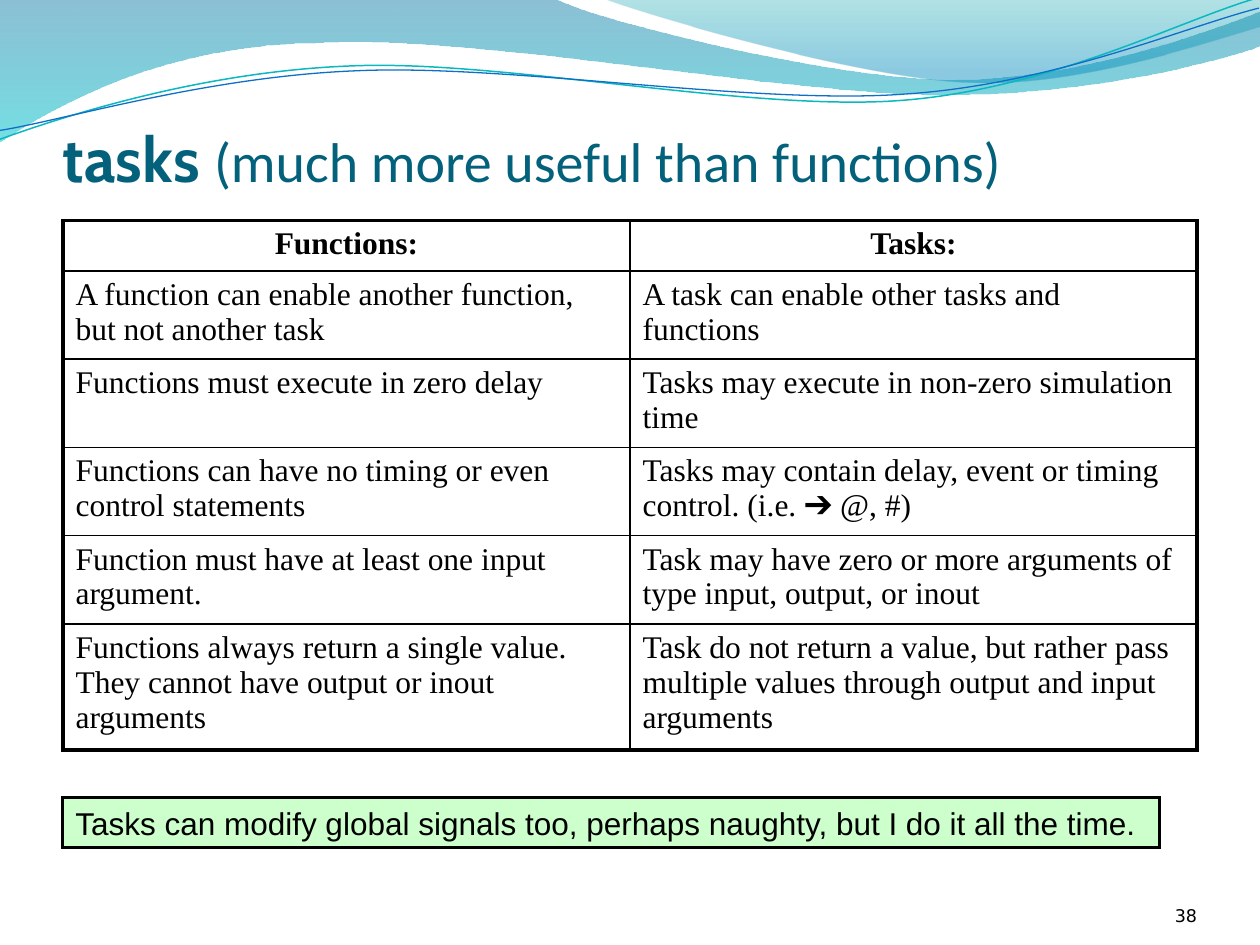
from lxml.etree import SubElement
from pptx import Presentation
from pptx.dml.color import RGBColor
from pptx.enum.shapes import MSO_SHAPE
from pptx.enum.text import MSO_ANCHOR, MSO_AUTO_SIZE, PP_ALIGN
from pptx.oxml.ns import qn
from pptx.util import Inches, Pt

COLORS = {
    "ink": "000000", "title": "04617B", "note": "CCFFCC",
    "deep_blue": "0074A1", "cyan": "00C6CF", "teal": "00A1A9",
    "sky": "008BBF", "teal_line": "0AB8BF", "blue_line": "0F6FC6",
}

BANDS = [
    ([(0, -0.01), (4.4, -0.01), (4.76, 0.17, 6.64, 0.63, 7.58, 0.63),
      (8.53, 0.63, 9.58, 0.26, 10, 0.09), (10.01, 0.36),
      (9.83, 0.44, 8.7, 0.76, 7.46, 0.75), (6.22, 0.75, 3.82, 0.28, 2.57, 0.34),
      (1.29, 0.35, 0.46, 0.83, -0.01, 1.13)],
     [(0, "deep_blue", 45), (1, "cyan", 55)]),
    ([(4.79, -0.01), (5.09, 0.11, 6.82, 0.62, 7.69, 0.65),
      (8.56, 0.69, 9.61, 0.32, 10, 0.21), (10, 0)],
     [(0, "teal", 30), (0.8, "sky", 45)]),
]

WAVE_ROTATION = 357.3
WAVES = [
    ([(-0.02, 0.87), (0.47, 0.72, 1.58, 0.41, 2.78, 0.42),
      (3.96, 0.42, 5.91, 0.93, 7.12, 0.9), (8.32, 0.87, 9.4, 0.36, 10, 0.22)],
     "teal_line", 0.85),
    ([(-0.02, 0.8), (0.46, 0.75, 1.64, 0.45, 2.83, 0.46),
      (4.03, 0.46, 5.96, 0.88, 7.16, 0.85), (8.35, 0.83, 9.42, 0.42, 10.01, 0.3)],
     "blue_line", 0.75),
]

COMPARISON = [
    ("Functions:", "Tasks:"),
    ("A function can enable another function, but not another task",
     "A task can enable other tasks and functions"),
    ("Functions must execute in zero delay",
     "Tasks may execute in non-zero simulation time"),
    ("Functions can have no timing or even control statements",
     "Tasks may contain delay, event or timing control. (i.e. ➔ @, #)"),
    ("Function must have at least one input argument.",
     "Task may have zero or more arguments of type input, output, or inout"),
    ("Functions always return a single value. They cannot have output or inout arguments",
     "Task do not return a value, but rather pass multiple values through output and input arguments"),
]
ROW_HEIGHTS = [0.4, 0.7, 0.7, 0.7, 0.7, 1]


class SlidePainter:
    """Holds the style and the current slide."""

    def __init__(self, page, colors):
        """Keep the page and its palette."""
        self.page = page
        self.colors = colors

    def color(self, name):
        """Return a palette colour."""
        return RGBColor.from_string(self.colors[name])

    def outline(self, segments, close):
        """Add a freeform whose six-number segments are cubic curves."""
        points = [(Inches(x), Inches(y)) for segment in segments
                  for x, y in zip(segment[::2], segment[1::2])]
        builder = self.page.shapes.build_freeform(*points[0], scale=1.0)
        builder.add_line_segments(points[1:], close=close)
        shape = builder.convert_to_shape()
        shape.shadow.inherit = False
        lines = iter(list(shape.element.iter(qn("a:lnTo"))))
        for segment in segments[1:]:
            steps = [next(lines) for _ in range(len(segment) // 2)]
            if len(steps) == 3:
                steps[0].tag = qn("a:cubicBezTo")
                for step in steps[1:]:
                    steps[0].append(step[0])
                    step.getparent().remove(step)
        return shape

    def band(self, segments, stops):
        """Add a translucent band with a downward gradient."""
        shape = self.outline(segments, True)
        shape.line.fill.background()
        shape.fill.gradient()
        shape.fill.gradient_angle = 270
        for stop, (position, name, _) in zip(shape.fill.gradient_stops, stops):
            stop.position = position
            stop.color.rgb = self.color(name)
        fill = shape.element.spPr.find(qn("a:gradFill"))
        for tint, (_, _, opacity) in zip(fill.iter(qn("a:srgbClr")), stops):
            SubElement(tint, qn("a:alpha"), val=str(opacity * 1000))

    def wave(self, segments, name, width):
        """Add a thin curved line."""
        shape = self.outline(segments, False)
        shape.rotation = WAVE_ROTATION
        shape.fill.background()
        shape.line.color.rgb = self.color(name)
        shape.line.width = Pt(width)

    def span(self, para, text, font, size, name="ink", bold=False):
        """Add one run to a paragraph."""
        span = para.add_run()
        span.text = text
        span.font.name = font
        span.font.size = Pt(size)
        span.font.bold = bold
        span.font.color.rgb = self.color(name)

    def text(self, place, spans, align=PP_ALIGN.LEFT, top=0):
        """Add a bottom-anchored text box."""
        frame = self.page.shapes.add_textbox(*map(Inches, place)).text_frame
        frame.word_wrap = True
        frame.vertical_anchor = MSO_ANCHOR.BOTTOM
        frame.margin_left = frame.margin_right = frame.margin_bottom = 0
        frame.margin_top = Inches(top)
        para = frame.paragraphs[0]
        para.alignment = align
        for span in spans:
            self.span(para, *span)

    def note(self, place, text):
        """Add a sharp-cornered box with one line of text."""
        box = self.page.shapes.add_shape(MSO_SHAPE.RECTANGLE, *map(Inches, place))
        box.shadow.inherit = False
        box.fill.solid()
        box.fill.fore_color.rgb = self.color("note")
        box.line.color.rgb = self.color("ink")
        box.line.width = Pt(1.75)
        SubElement(box.element.spPr.find(qn("a:ln")), qn("a:miter"), lim="800000")
        frame = box.text_frame
        frame.word_wrap = False
        frame.auto_size = MSO_AUTO_SIZE.SHAPE_TO_FIT_TEXT
        frame.vertical_anchor = MSO_ANCHOR.TOP
        frame.paragraphs[0].alignment = PP_ALIGN.LEFT
        self.span(frame.paragraphs[0], text, "Arial", 18)

    def borders(self, cell, outer_sides):
        """Rule a cell, thicker on the table's outer sides."""
        props = cell._tc.get_or_add_tcPr()
        for side, outer in outer_sides.items():
            width = Pt(2.25 if outer else 1)
            line = SubElement(props, qn(f"a:ln{side}"), w=str(width))
            fill = SubElement(line, qn("a:solidFill"))
            SubElement(fill, qn("a:srgbClr"), val=self.colors["ink"])

    def table(self, place, rows, heights):
        """Add a ruled table with a bold centred heading row."""
        columns = len(rows[0])
        table = self.page.shapes.add_table(len(rows), columns, *map(Inches, place)).table
        table.first_row = table.horz_banding = False
        for r, (texts, height) in enumerate(zip(rows, heights)):
            table.rows[r].height = Inches(height)
            for c, text in enumerate(texts):
                cell = table.cell(r, c)
                self.borders(cell, {"L": c == 0, "R": c == columns - 1,
                                    "T": r == 0, "B": r == len(rows) - 1})
                cell.fill.background()
                para = cell.text_frame.paragraphs[0]
                para.alignment = PP_ALIGN.LEFT if r else PP_ALIGN.CENTER
                before = SubElement(para._p.get_or_add_pPr(), qn("a:spcBef"))
                SubElement(before, qn("a:spcPct"), val="20000")
                self.span(para, text, "Times New Roman", 18, bold=r == 0)


def main():
    """Build and save the slide."""
    deck = Presentation()
    deck.slide_width, deck.slide_height = Inches(10), Inches(7.5)
    painter = SlidePainter(deck.slides.add_slide(deck.slide_layouts[6]), COLORS)
    for band in BANDS:
        painter.band(*band)
    for wave in WAVES:
        painter.wave(*wave)
    painter.text((0.5, 0.3, 9, 1.25),
                 [("tasks ", "Cabin", 36, "title", True),
                  ("(much more useful than functions)", "Calibri", 32, "title")], top=0.05)
    painter.table((0.5, 1.75, 9, sum(ROW_HEIGHTS)), COMPARISON, ROW_HEIGHTS)
    painter.text((8.67, 6.95, 0.83, 0.4), [("38", "DejaVu Sans", 10)], PP_ALIGN.RIGHT)
    painter.note((0.5, 6.33, 8.7, 0.4),
                 "Tasks can modify global signals too, perhaps naughty, but I do it all the time.")
    deck.save("out.pptx")


if __name__ == "__main__":
    main()
